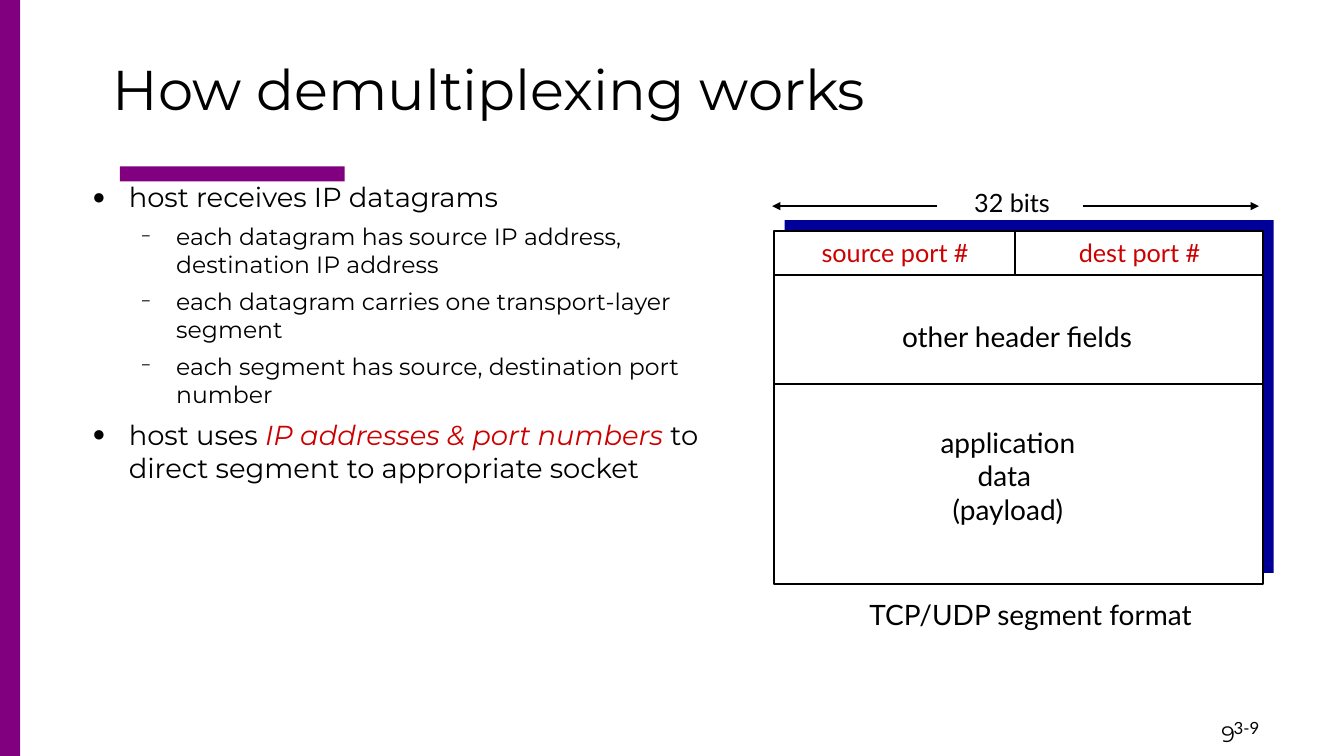
from lxml import etree
from pptx import Presentation
from pptx import util as u
from pptx.dml.color import RGBColor
from pptx.enum import shapes, text
from pptx.oxml.ns import qn

BLACK, WHITE, RED, PURPLE, NAVY = "000000", "FFFFFF", "CC0000", "800080", "000099"
HEADING, LABEL = "Montserrat", "Lato"

TITLE = "How demultiplexing works"
# Level, then runs of (text, emphasised)
BULLETS = [
    (0, [("host receives IP datagrams", False)]),
    (1, [("each datagram has source IP address, destination IP address", False)]),
    (1, [("each datagram carries one transport-layer segment", False)]),
    (1, [("each segment has source, destination port number", False)]),
    (0, [("host uses ", False), ("IP addresses & port numbers", True),
         (" to direct segment to appropriate socket", False)]),
]
# Level: bullet, bullet size %, left indent, space before, text size
LEVELS = [("●", 45, 33.84, 7, 19.6), ("−", 75, 67.68, 6, 16.8)]
HANGING = 25.2

# Lines, box (left, top, width, height), size, colour
SEGMENT_LABELS = [
    (["source port #"], (575.28, 166.32, 128.16, 28.8), 18, RED),
    (["dest port #"], (760.32, 166.32, 107.28, 28.8), 18, RED),
    (["32 bits"], (687.6, 130.32, 70.56, 28.8), 18, BLACK),
    (["application", "data ", "(payload)"], (660.96, 300.24, 118.08, 79.2), 20, BLACK),
    (["other header fields"], (630, 224.64, 192.96, 31.68), 20, BLACK),
    (["TCP/UDP segment format"], (607.68, 423.36, 257.04, 31.68), 20, BLACK),
]
PAGE_NUMBERS = [
    ("9", (865.44, 511.2, 93.6, 28.8), 16, HEADING),
    ("3-9", (874.08, 509.04, 71.28, 21.6), 12, LABEL),
]

SEG_LEFT, SEG_TOP, SEG_WIDTH, SEG_HEIGHT = 552.96, 164.88, 349.2, 252
SEG_RIGHT = SEG_LEFT + SEG_WIDTH
SHADOW_SHIFT = 7.56
PORTS_BOTTOM, HEADER_BOTTOM, PORT_DIVIDER = 196.56, 274.32, 725.04
ARROW_Y = 147.24

prs = Presentation()
prs.slide_width, prs.slide_height = u.Pt(960), u.Pt(540)
slide = prs.slides.add_slide(prs.slide_layouts[5])


def rgb(value):
    return RGBColor.from_string(value)


def points(values):
    return [u.Pt(value) for value in values]


def add_rect(box, fill, outline=None):
    rect = slide.shapes.add_shape(shapes.MSO_SHAPE.RECTANGLE, *points(box))
    rect.shadow.inherit = False
    rect.fill.solid()
    rect.fill.fore_color.rgb = rgb(fill)
    if outline:
        rect.line.color.rgb = rgb(outline)
        rect.line.width = u.Pt(1.5)
    else:
        rect.line.fill.background()


def add_rule(start, end, arrow=False):
    rule = slide.shapes.add_connector(shapes.MSO_CONNECTOR.STRAIGHT, *points(start + end))
    rule.line.color.rgb = rgb(BLACK)
    rule.line.width = u.Pt(1.5)
    if arrow:
        etree.SubElement(rule.line._get_or_add_ln(), qn("a:tailEnd"), type="triangle")
    etree.SubElement(rule._element.spPr, qn("a:effectLst"))


def write(paragraph, words, size, font=LABEL, color=BLACK, italic=False):
    run = paragraph.add_run()
    run.text = words
    run.font.size, run.font.name = u.Pt(size), font
    run.font.color.rgb = rgb(color)
    run.font.italic = italic


def add_frame(box, wrap=True):
    frame = slide.shapes.add_textbox(*points(box)).text_frame
    frame.word_wrap = wrap
    return frame


def next_paragraph(frame, index):
    return frame.add_paragraph() if index else frame.paragraphs[0]


def set_indent(paragraph, left, first=0):
    props = paragraph._p.get_or_add_pPr()
    props.set("marL", str(u.Pt(left)))
    props.set("indent", str(u.Pt(first)))
    return props


def add_bullet(paragraph, mark, percent, left):
    props = set_indent(paragraph, left, -HANGING)
    color = etree.SubElement(props, qn("a:buClr"))
    etree.SubElement(color, qn("a:srgbClr"), val=BLACK)
    etree.SubElement(props, qn("a:buSzPct"), val=str(percent * 1000))
    etree.SubElement(props, qn("a:buFont"), typeface=HEADING)
    etree.SubElement(props, qn("a:buChar"), char=mark)


# Slide frame and title
add_rect((85.68, 118.8, 160.56, 10.8), PURPLE)
add_rect((0, 0, 14.4, 540), PURPLE)
title = slide.shapes.title
title.left, title.top, title.width, title.height = points((56.16, 18, 815.76, 90))
title.text_frame.vertical_anchor = text.MSO_ANCHOR.MIDDLE
title.text_frame.auto_size = text.MSO_AUTO_SIZE.NONE
heading = title.text_frame.paragraphs[0]
heading.alignment = text.PP_ALIGN.LEFT
set_indent(heading, 17.28)
write(heading, TITLE, 40, font=HEADING)
for number, box, size, font in PAGE_NUMBERS:
    write(add_frame(box).paragraphs[0], number, size, font=font)

# Bullet list
body = add_frame((51.12, 125.28, 465.84, 219.6))
for index, (level, runs) in enumerate(BULLETS):
    mark, percent, left, before, size = LEVELS[level]
    item = next_paragraph(body, index)
    item.level = level
    add_bullet(item, mark, percent, left)
    if index:
        item.space_before = u.Pt(before)
    for words, emphasised in runs:
        write(item, words, size, font=HEADING, italic=emphasised,
              color=RED if emphasised else BLACK)

# Segment diagram
add_rect((SEG_LEFT + SHADOW_SHIFT, SEG_TOP - SHADOW_SHIFT, SEG_WIDTH, SEG_HEIGHT), NAVY)
add_rect((SEG_LEFT, SEG_TOP, SEG_WIDTH, SEG_HEIGHT), WHITE, outline=BLACK)
for y in (PORTS_BOTTOM, HEADER_BOTTOM):
    add_rule((SEG_LEFT, y), (SEG_RIGHT, y))
add_rule((PORT_DIVIDER, PORTS_BOTTOM), (PORT_DIVIDER, SEG_TOP))
add_rule((773.28, ARROW_Y), (899.28, ARROW_Y), arrow=True)
add_rule((669.6, ARROW_Y), (551.52, ARROW_Y), arrow=True)
for lines, box, size, color in SEGMENT_LABELS:
    label = add_frame(box, wrap=False)
    for index, words in enumerate(lines):
        line = next_paragraph(label, index)
        line.alignment = text.PP_ALIGN.CENTER
        write(line, words, size, color=color)

prs.save("out.pptx")
